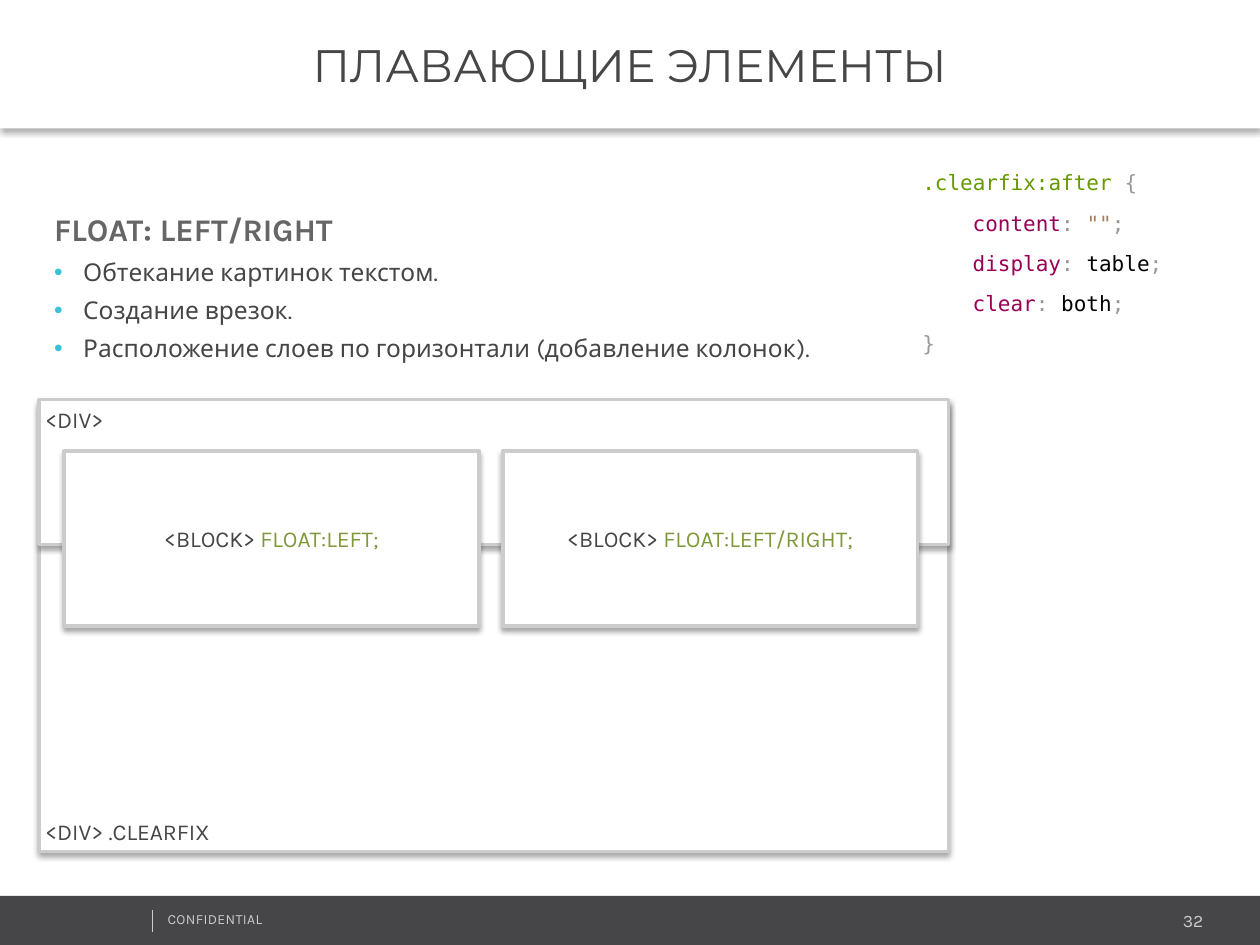
from lxml import etree
from pptx import Presentation
from pptx import util as u
from pptx.dml.color import RGBColor
from pptx.enum import shapes, text
from pptx.oxml import ns

COLORS = {
    "white": "FFFFFF", "black": "000000", "dark": "464547", "light": "CCCCCC",
    "heading": "666666", "bullet": "39C2D7", "float": "7F993A",
    "selector": "669900", "property": "990055", "string": "A67F59",
    "punctuation": "999999",
}
LEFT, CENTER, RIGHT = text.PP_ALIGN.LEFT, text.PP_ALIGN.CENTER, text.PP_ALIGN.RIGHT
TOP, MIDDLE, BOTTOM = text.MSO_ANCHOR.TOP, text.MSO_ANCHOR.MIDDLE, text.MSO_ANCHOR.BOTTOM


def color(name):
    return RGBColor.from_string(COLORS[name])


def child(parent, tag, **attributes):
    values = {key: str(value) for key, value in attributes.items()}
    return etree.SubElement(parent, ns.qn(tag), values)


class SlideBuilder:
    font = "Karla"
    label_size = 13
    label_height = 0.31

    def __init__(self, page):
        self.page = page

    def rectangle(self, left, top, width, height, fill="white", line=None, shadow=None):
        """Draw a rectangle; shadow is (opacity %, blur pt, distance pt)."""
        box = self.page.shapes.add_shape(
            shapes.MSO_SHAPE.RECTANGLE, *map(u.Inches, (left, top, width, height)))
        box.fill.solid()
        box.fill.fore_color.rgb = color(fill)
        if line:
            box.line.color.rgb = color(line)
            box.line.width = u.Pt(2)
        else:
            box.line.fill.background()
        box.shadow.inherit = False
        if shadow:
            opacity, blur, distance = shadow
            effects = box._element.spPr.find(ns.qn("a:effectLst"))
            outer = child(effects, "a:outerShdw", blurRad=u.Pt(blur), dist=u.Pt(distance),
                          dir=90 * 60000, algn="ctr", rotWithShape=0)
            tint = child(outer, "a:srgbClr", val=COLORS["black"])
            child(tint, "a:alpha", val=opacity * 1000)
        return box

    def separator(self, left, top, bottom):
        line = self.page.shapes.add_connector(
            shapes.MSO_CONNECTOR.STRAIGHT, *map(u.Inches, (left, top, left, bottom)))
        line.line.color.rgb = color("light")
        line.line.width = u.Pt(0.25)
        child(line._element.spPr, "a:effectLst")

    def text_box(self, left, top, width, height, inset=0.05, **frame_format):
        box = self.page.shapes.add_textbox(*map(u.Inches, (left, top, width, height)))
        self.format_frame(box.text_frame, inset, **frame_format)
        return box.text_frame

    def format_frame(self, frame, inset=0.05, **frame_format):
        sides = ("margin_left", "margin_top", "margin_right", "margin_bottom")
        values = {"word_wrap": True, "vertical_anchor": TOP,
                  **dict.fromkeys(sides, u.Inches(inset)), **frame_format}
        for name, value in values.items():
            setattr(frame, name, value)

    def paragraph(self, frame, spans, size, font=None, bold=False, indent=0, **para_format):
        """Fill the first empty paragraph or add one; spans are (text, color) pairs."""
        para = frame.paragraphs[-1]
        if para.runs:
            para = frame.add_paragraph()
        for name, value in para_format.items():
            setattr(para, name, value)
        if indent:
            para._p.get_or_add_pPr().set("marL", str(u.Inches(indent)))
        for words, name in spans:
            span = para.add_run()
            span.text = words
            values = {"size": u.Pt(size), "name": font or self.font, "bold": bold}
            for key, value in values.items():
                setattr(span.font, key, value)
            span.font.color.rgb = color(name)
        return para

    def bullet(self, frame, words):
        para = self.paragraph(frame, [(words, "dark")], 14, indent=0.23, line_spacing=1.3)
        properties = para._p.get_or_add_pPr()
        properties.set("indent", str(-u.Inches(0.23)))
        child(child(properties, "a:buClr"), "a:srgbClr", val=COLORS["bullet"])
        child(properties, "a:buFont", typeface="Arial")
        child(properties, "a:buChar", char="•")

    def block(self, left, top, width, height, spans, anchor, align=LEFT):
        """Draw a framed block with a one-line label at its top, middle or bottom."""
        self.rectangle(left, top, width, height, line="light", shadow=(35, 3, 1.8))
        slack = height - self.label_height
        offset = {TOP: 0, MIDDLE: slack / 2, BOTTOM: slack}[anchor]
        frame = self.text_box(left, top + offset, width, self.label_height,
                              vertical_anchor=anchor)
        self.paragraph(frame, spans, self.label_size, alignment=align)


def add_footer(slide):
    slide.rectangle(0, 7.11, 10, 0.4, fill="dark")
    frame = slide.text_box(1.28, 7.18, 2.53, 0.24)
    para = slide.paragraph(frame, [("CONFIDENTIAL", "light")], 8)
    para.runs[0].font._element.set("spc", "20")
    slide.separator(1.21, 7.22, 7.4)
    frame = slide.text_box(9.2, 7.17, 0.4, 0.25)
    slide.paragraph(frame, [("32", "light")], 10, alignment=RIGHT)


def add_title(slide):
    banner = slide.rectangle(0, 0, 10, 1.02, shadow=(30, 3, 2))
    slide.format_frame(banner.text_frame, vertical_anchor=MIDDLE)
    slide.paragraph(banner.text_frame, [("ПЛАВАЮЩИЕ ЭЛЕМЕНТЫ", "dark")], 26,
                    font="Montserrat", alignment=CENTER, space_before=u.Pt(6))


def add_uses(slide):
    frame = slide.text_box(0.39, 1.57, 9.11, 2.61, inset=0.04)
    slide.paragraph(frame, [("FLOAT: LEFT/RIGHT", "heading")], 18, bold=True,
                    line_spacing=1.2, space_before=u.Pt(7))
    for words in ("Обтекание картинок текстом.", "Создание врезок.",
                  "Расположение слоев по горизонтали (добавление колонок)."):
        slide.bullet(frame, words)


def add_code(slide):
    frame = slide.text_box(7.27, 1.18, 2.01, 1.67, word_wrap=False)
    declarations = [("content", '""', "string"), ("display", "table", "black"),
                    ("clear", "both", "black")]
    lines = [(0, [(".clearfix:after ", "selector"), ("{", "punctuation")])]
    lines += [(0.4, [(name, "property"), (": ", "punctuation"), (value, tone),
                     (";", "punctuation")]) for name, value, tone in declarations]
    lines.append((0, [("}", "punctuation")]))
    for indent, spans in lines:
        slide.paragraph(frame, spans, 12, font="DejaVu Sans Mono", indent=indent,
                        line_spacing=u.Pt(23))


def main():
    deck = Presentation()
    deck.slide_width, deck.slide_height = u.Inches(10), u.Inches(7.5)
    slide = SlideBuilder(deck.slides.add_slide(deck.slide_layouts[6]))
    add_footer(slide)
    slide.block(0.31, 3.21, 7.22, 3.55, [("<DIV> .CLEARFIX", "dark")], BOTTOM)
    slide.block(0.31, 3.17, 7.22, 1.15, [("<DIV>", "dark")], TOP)
    add_uses(slide)
    add_title(slide)
    for left, rule in ((0.51, "FLOAT:LEFT;"), (3.99, "FLOAT:LEFT/RIGHT;")):
        slide.block(left, 3.58, 3.29, 1.39, [("<BLOCK> ", "dark"), (rule, "float")],
                    MIDDLE, CENTER)
    add_code(slide)
    deck.save("out.pptx")


if __name__ == "__main__":
    main()
